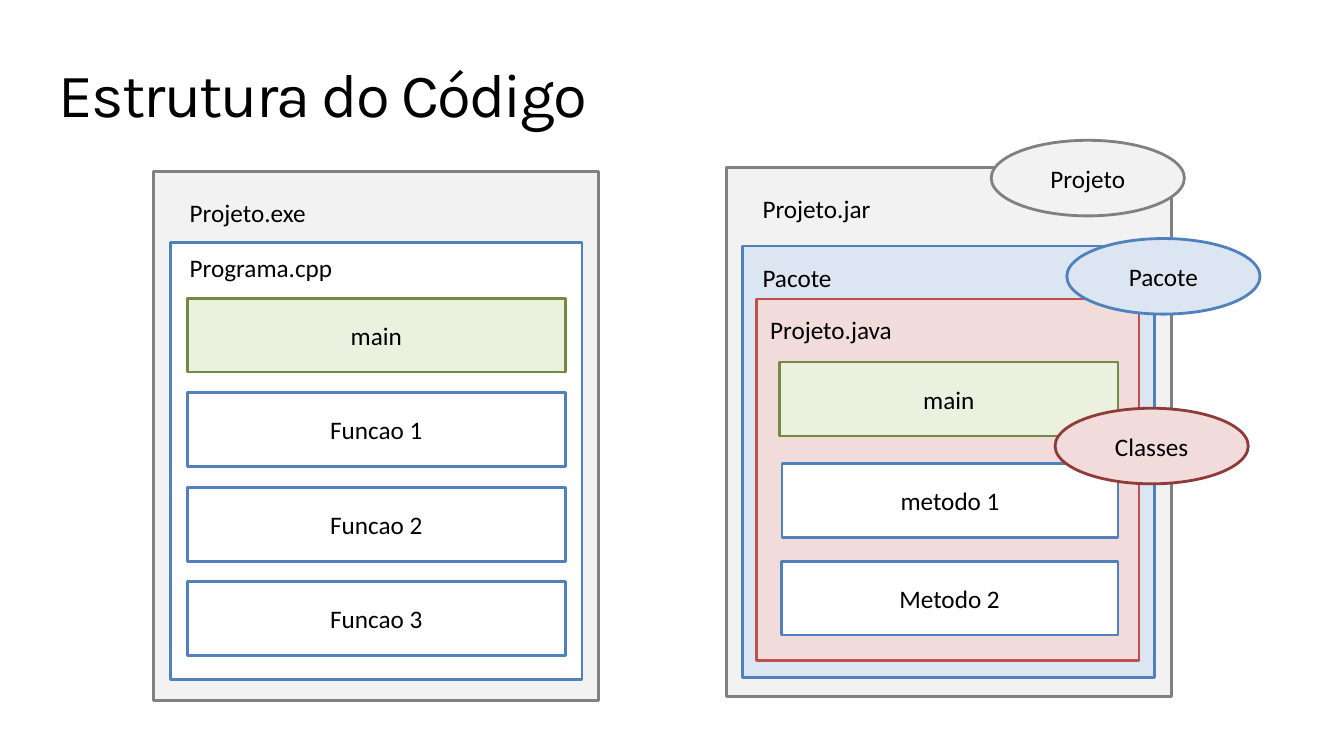
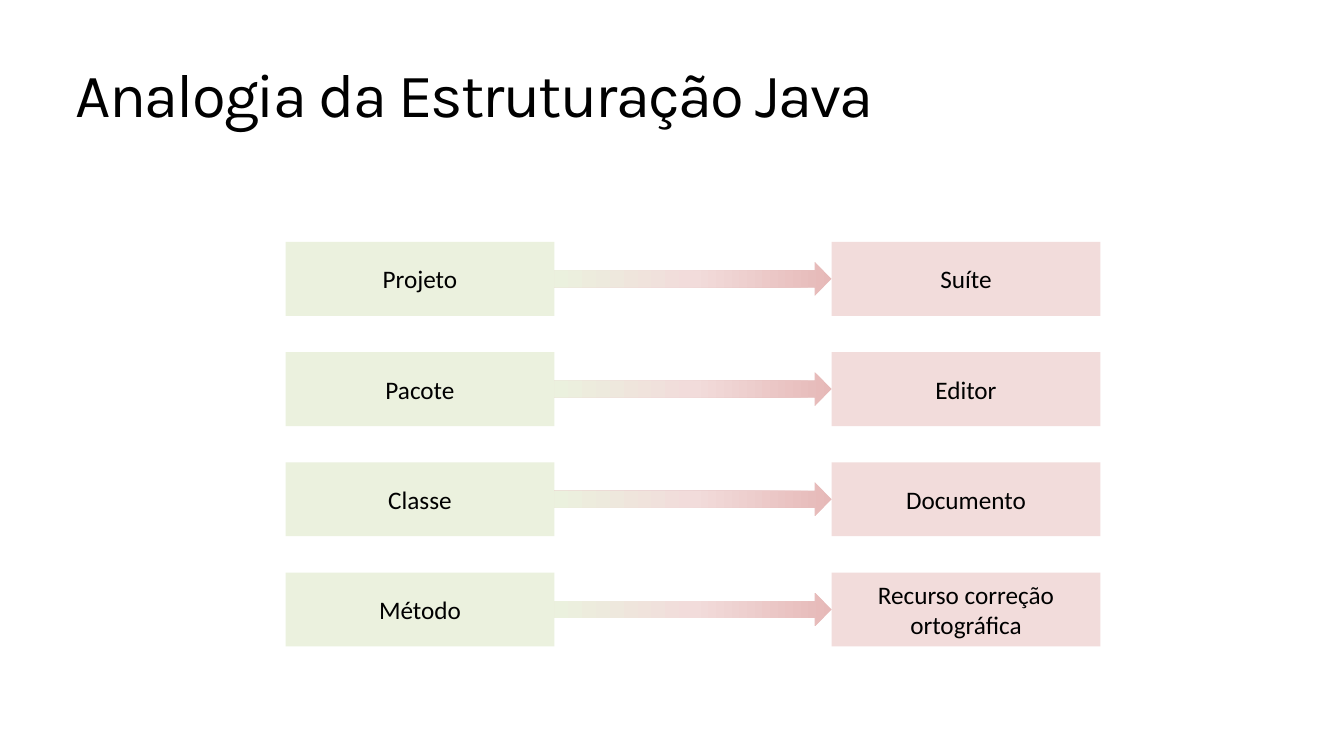
import copy

import pptx
import pptx.util
import pptx.dml.color
import pptx.enum.shapes
import pptx.enum.text
import pptx.oxml.ns

SHAPE = pptx.enum.shapes.MSO_SHAPE
ALIGN = pptx.enum.text.PP_ALIGN
ANCHOR = pptx.enum.text.MSO_ANCHOR
FIT = pptx.enum.text.MSO_AUTO_SIZE


def rgb(value):
    return pptx.dml.color.RGBColor.from_string(value)


def assign(obj, values):
    for name, value in values.items():
        setattr(obj, name, value)


class Deck:
    COLS, ROWS = 160, 90
    BLACK, WHITE = "000000", "FFFFFF"
    GRAY, GRAY_LINE = "F2F2F2", "808080"
    BLUE, BLUE_LINE = "DCE6F2", "4F81BD"
    GREEN, GREEN_LINE = "EBF1DE", "738A42"
    RED, RED_LINE, RED_DARK = "F2DCDB", "C0504D", "8E3B39"
    RED_DEEP = "E6B9B8"
    BODY = {"name": "Calibri", "size": pptx.util.Pt(18)}
    HEAD = {"name": "Karla", "size": pptx.util.Pt(44)}

    def __init__(self):
        self.prs = pptx.Presentation()
        self.prs.slide_width = pptx.util.Inches(13.33)
        self.prs.slide_height = pptx.util.Inches(7.5)
        self.s = self.shapes = None

    def at(self, col, row, cols, rows):
        dx = self.prs.slide_width / self.COLS
        dy = self.prs.slide_height / self.ROWS
        return [round(v) for v in (col * dx, row * dy, cols * dx, rows * dy)]

    def add_text(self, tf, text, style, align):
        p = tf.paragraphs[0]
        p.alignment = align
        r = p.add_run()
        r.text = text
        assign(r.font, style)
        r.font.color.rgb = rgb(self.BLACK)
        return r

    def slide(self, title, col, cols):
        self.s = self.prs.slides.add_slide(self.prs.slide_layouts[5])
        self.shapes = self.s.shapes
        sp = self.shapes.title
        assign(sp, dict(zip(("left", "top", "width", "height"),
                            self.at(col, 6.5, cols, 9.1))))
        tf = sp.text_frame
        assign(tf, {"margin_left": 0, "margin_right": 0, "margin_bottom": 0,
                    "margin_top": pptx.util.Inches(0.01), "word_wrap": True,
                    "vertical_anchor": ANCHOR.TOP,
                    "auto_size": FIT.SHAPE_TO_FIT_TEXT})
        r = self.add_text(tf, title, self.HEAD, ALIGN.LEFT)
        r._r.get_or_add_rPr().set("spc", "-130")

    def group(self):
        self.shapes = self.s.shapes.add_group_shape().shapes

    def box(self, pos, fill, line=None, text=None, kind=SHAPE.RECTANGLE):
        sp = self.shapes.add_shape(kind, *self.at(*pos))
        sp.shadow.inherit = False
        sp.fill.solid()
        sp.fill.fore_color.rgb = rgb(fill)
        if line:
            sp.line.color.rgb = rgb(line)
            sp.line.width = pptx.util.Pt(2)
        else:
            sp.line.fill.background()
        if text:
            assign(sp.text_frame, {"word_wrap": True,
                                   "vertical_anchor": ANCHOR.MIDDLE})
            self.add_text(sp.text_frame, text, self.BODY, ALIGN.CENTER)
        return sp

    def label(self, text, col, row, cols):
        tf = self.shapes.add_textbox(*self.at(col, row, cols, 4.8)).text_frame
        assign(tf, {"word_wrap": False, "auto_size": FIT.SHAPE_TO_FIT_TEXT})
        self.add_text(tf, text, self.BODY, ALIGN.LEFT)

    def arrow(self, pos):
        sp = self.box(pos, self.GREEN, kind=SHAPE.RIGHT_ARROW)
        sp.fill.gradient()
        sp.fill.gradient_angle = 180
        first = sp._element.spPr.find(".//" + pptx.oxml.ns.qn("a:gs"))
        first.addnext(copy.deepcopy(first))
        colors = (self.RED_DEEP, self.RED, self.GREEN)
        for i, (stop, color) in enumerate(zip(sp.fill.gradient_stops, colors)):
            stop.position = i / 2
            stop.color.rgb = rgb(color)


def code_structure(d):
    d.slide("Estrutura do Código", 7, 84.6)

    d.group()
    d.box((18.25, 20.4, 53, 63), d.GRAY, d.GRAY_LINE)
    d.label("Projeto.exe", 21.4, 22.9, 16.3)
    d.box((20.3, 28.9, 49, 52), d.WHITE, d.BLUE_LINE)
    d.label("Programa.cpp", 21.4, 29.5, 19.6)
    for i, name in enumerate(("main", "Funcao 1", "Funcao 2", "Funcao 3")):
        fill, line = (d.WHITE, d.BLUE_LINE) if i else (d.GREEN, d.GREEN_LINE)
        d.box((22.3, 35.5 + 11.25 * i, 45, 8.8), fill, line, name)

    d.group()
    d.box((86.5, 19.9, 53, 63), d.GRAY, d.GRAY_LINE)
    d.box((88.4, 29.3, 49, 51.4), d.BLUE, d.BLUE_LINE)
    d.label("Projeto.jar", 89.6, 22.4, 15.4)
    d.box((90.1, 35.6, 45.5, 43), d.RED, d.RED_LINE)
    d.label("Projeto.java", 90.5, 36.8, 17)
    for name, col, row, fill, line in (
            ("main", 92.8, 43.1, d.GREEN, d.GREEN_LINE),
            ("metodo 1", 93.1, 55.2, d.WHITE, d.BLUE_LINE),
            ("Metodo 2", 93, 66.8, d.WHITE, d.BLUE_LINE)):
        d.box((col, row, 133.1 - col, 8.8), fill, line, name)
    d.label("Pacote", 89.6, 30.7, 10.7)
    for name, col, row, fill, line in (
            ("Projeto", 118, 16.7, d.GRAY, d.GRAY_LINE),
            ("Pacote", 127, 28.4, d.BLUE, d.BLUE_LINE),
            ("Classes", 125.6, 48.6, d.RED, d.RED_DARK)):
        d.box((col, row, 23, 9), fill, line, name, SHAPE.OVAL)


def java_analogy(d):
    d.slide("Analogia da Estruturação Java", 9, 112.1)
    pairs = (("Projeto", "Suíte"), ("Pacote", "Editor"),
             ("Classe", "Documento"),
             ("Método", "Recurso correção ortográfica"))
    for i, (concept, example) in enumerate(pairs):
        row = 28.8 + 13.12 * i
        d.box((34, row, 32, 8.8), d.GREEN, text=concept)
        d.box((99, row, 32, 8.8), d.RED, text=example)
        d.arrow((66, row + 2.4, 33, 4))


def main():
    d = Deck()
    code_structure(d)
    java_analogy(d)
    d.prs.save("out.pptx")


if __name__ == "__main__":
    main()
